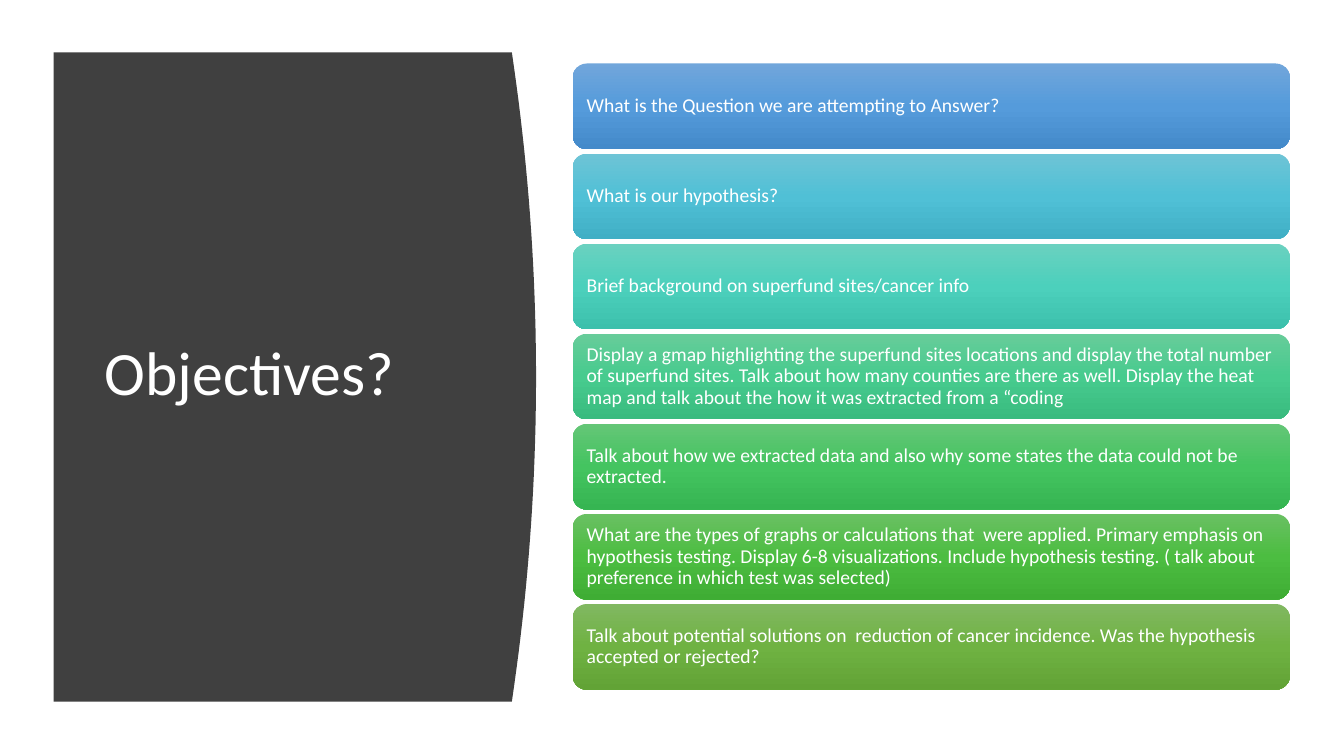
import copy

import pptx
import pptx.dml.color
import pptx.enum.shapes
import pptx.enum.text
import pptx.oxml.ns
import pptx.util

Cm = pptx.util.Cm
Pt = pptx.util.Pt
rgb = pptx.dml.color.RGBColor.from_string

theme = {
    "font": "Calibri",
    "head": Pt(44),
    "body": Pt(14),
    "text": rgb("FFFFFF"),
    "panel": rgb("404040"),
    "cards": [
        ("71A6DB", "559BDB", "448ACA"),
        ("6EC4D6", "50C0D6", "40AFC5"),
        ("6AD1C0", "4CD0BC", "3CC0AC"),
        ("67CC9A", "47CB8E", "39BB7F"),
        ("64C677", "44C460", "36B552"),
        ("69C062", "4CBD41", "3FAD34"),
        ("81B861", "6FB242", "62A336"),
    ],
}

goals = [
    "What is the Question we are attempting to Answer?",
    "What is our hypothesis?",
    "Brief background on superfund sites/cancer info",
    "Display a gmap highlighting the superfund sites locations and display the total number of superfund sites. Talk about how many counties are there as well. Display the heat map and talk about the how it was extracted from a “coding",
    "Talk about how we extracted data and also why some states the data could not be extracted.",
    "What are the types of graphs or calculations that  were applied. Primary emphasis on hypothesis testing. Display 6-8 visualizations. Include hypothesis testing. ( talk about preference in which test was selected)",
    "Talk about potential solutions on  reduction of cancer incidence. Was the hypothesis accepted or rejected?",
]


def write(shape, words, size):
    frame = shape.text_frame
    frame.text = words
    frame.word_wrap = True
    frame.auto_size = pptx.enum.text.MSO_AUTO_SIZE.NONE
    frame.vertical_anchor = pptx.enum.text.MSO_ANCHOR.MIDDLE
    frame.margin_left = frame.margin_right = Cm(0.25)
    line = frame.paragraphs[0]
    line.alignment = pptx.enum.text.PP_ALIGN.LEFT
    line.line_spacing = 0.9
    line.font.name = theme["font"]
    line.font.size = size
    line.font.color.rgb = theme["text"]


deck = pptx.Presentation()
deck.slide_width = Cm(33.87)
deck.slide_height = Cm(19.05)
slide = deck.slides.add_slide(deck.slide_layouts[5])
shapes = slide.shapes

left, top, high = 1.35, 1.32, 16.36
edge, bulge, steps = 12.9, 0.61, 40
curve = []
for step in range(steps + 1):
    part = step / steps
    curve.append((Cm(edge + bulge * 4 * part * (1 - part)), Cm(top + high * part)))
pen = shapes.build_freeform(Cm(left), Cm(top))
pen.add_line_segments(curve + [(Cm(left), Cm(top + high))], close=True)
panel = pen.convert_to_shape()
panel.shadow.inherit = False
panel.fill.solid()
panel.fill.fore_color.rgb = theme["panel"]
panel.line.fill.background()

title = shapes.title
panel._element.addnext(title._element)
title.left, title.top = Cm(2.39), Cm(2.82)
title.width, title.height = Cm(9.5), Cm(13.31)
write(title, "Objectives?", theme["head"])

for row, (goal, tints) in enumerate(zip(goals, theme["cards"])):
    card = shapes.add_shape(
        pptx.enum.shapes.MSO_SHAPE.ROUNDED_RECTANGLE,
        Cm(14.43), Cm(1.6 + 2.27 * row), Cm(18.08), Cm(2.16),
    )
    card.shadow.inherit = False
    card.line.fill.background()
    card.fill.gradient()
    card.fill.gradient_angle = 270
    first = card._element.spPr.find(".//" + pptx.oxml.ns.qn("a:gs"))
    first.addnext(copy.deepcopy(first))
    for stop, tint, place in zip(card.fill.gradient_stops, tints, (0, 0.5, 1)):
        stop.color.rgb = rgb(tint)
        stop.position = place
    write(card, goal, theme["body"])

deck.save("out.pptx")
